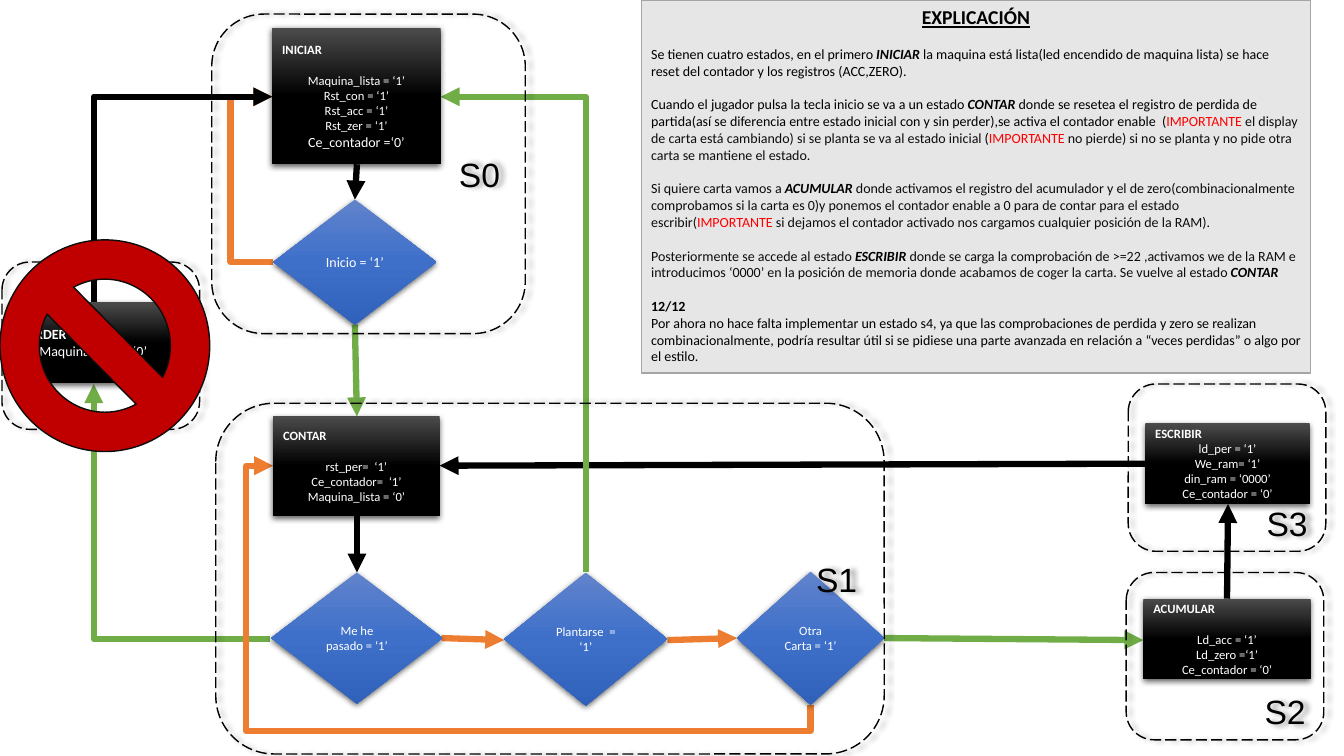
from copy import deepcopy
from lxml import etree
from pptx import Presentation
from pptx.dml.color import RGBColor
from pptx.enum import dml, shapes, text
from pptx.oxml.ns import qn
from pptx.util import Inches, Pt

BLACK = RGBColor(0, 0, 0)
WHITE = RGBColor(255, 255, 255)
DARK = RGBColor(0x0D, 0x0D, 0x0D)
RED = RGBColor(255, 0, 0)
CRIMSON = RGBColor(0xC0, 0, 0)
GREEN = RGBColor(0x70, 0xAD, 0x47)
ORANGE = RGBColor(0xED, 0x7D, 0x31)
PALE = RGBColor(0xE7, 0xE6, 0xE6)
GREY = RGBColor(0xA5, 0xA5, 0xA5)
COAL = [RGBColor(0x4B, 0x4B, 0x4B), BLACK, BLACK]
BLUE = [RGBColor(0x61, 0x83, 0xCB), RGBColor(0x3E, 0x70, 0xCA), RGBColor(0x30, 0x62, 0xBB)]

KIND = shapes.MSO_SHAPE
ALIGN = text.PP_ALIGN
ANCHOR = text.MSO_ANCHOR

# Run markers: * bold italic, # bold, ! red, . dark
NOTES = [
    "Se tienen cuatro estados, en el primero |*INICIAR| la maquina está lista(led encendido de "
    "maquina lista) se hace reset del contador y los registros (ACC,ZERO).",
    "Cuando el jugador pulsa la tecla inicio se va a un estado |*CONTAR| donde se resetea el "
    "registro de perdida de partida(así se diferencia entre estado inicial con y sin perder),se "
    "activa el contador enable  (|!IMPORTANTE |.el display de carta está cambiando) si se planta "
    "se va al estado inicial |(|!IMPORTANTE|. no pierde) si no se planta y no pide otra carta se "
    "mantiene el estado.",
    ".Si quiere carta vamos a |*ACUMULAR |.donde activamos el registro del acumulador y el de "
    "zero(combinacionalmente comprobamos si la carta es 0)y ponemos el contador enable a 0 para "
    "de contar para el estado escribir(|!IMPORTANTE |.si dejamos el contador activado nos "
    "cargamos cualquier posición de la RAM).",
    ".Posteriormente se accede al estado |*ESCRIBIR |.donde se carga la comprobación de >=22 "
    ",activamos we de la RAM e introducimos ‘0000’ en la posición de memoria donde acabamos de "
    "coger la carta. Se vuelve al estado |*CONTAR",
    "#12/12",
    "Por ahora no hace falta implementar un estado s4, ya que las comprobaciones de perdida y "
    "zero se realizan combinacionalmente, podría resultar útil si se pidiese una parte avanzada "
    "en relación a “veces perdidas” o algo por el estilo.",
]


def shape(slide, kind, box, part):
    """Add a preset shape at an offset part inside a box."""
    left, top = box[0] + part[0], box[1] + part[1]
    item = slide.shapes.add_shape(kind, *map(Inches, (left, top, part[2], part[3])))
    item.shadow.inherit = False
    return item


def shade(item, alpha, blur, dist, turn):
    """Give a shape a soft black outer shadow."""
    list_ = item._element.spPr.find(qn("a:effectLst"))
    outer = etree.SubElement(list_, qn("a:outerShdw"), blurRad=str(Pt(blur)),
                             dist=str(Pt(dist)), dir=str(turn * 60000), rotWithShape="0")
    tint = etree.SubElement(outer, qn("a:srgbClr"), val=str(BLACK))
    etree.SubElement(tint, qn("a:alpha"), val=str(alpha * 1000))


def style(run, size, color, bold=False, face="Calibri"):
    """Set the font of a run."""
    font = run.font
    font.name, font.size, font.bold = face, Pt(size), bold
    font.color.rgb = color


def blend(item, tints):
    """Fill a shape from top to bottom with three tints."""
    item.fill.gradient()
    item.fill.gradient_angle = 270
    last = item.fill.gradient_stops[1]._gs
    last.addnext(deepcopy(last))
    for n, (stop, tint) in enumerate(zip(item.fill.gradient_stops, tints)):
        stop.position, stop.color.rgb = n / 2, tint


def node(slide, box, part, lines, size=9, head="", gap=11, big=()):
    """Add a state with a bold head, or a choice when it has no head."""
    item = shape(slide, KIND.RECTANGLE if head else KIND.DIAMOND, box, part)
    blend(item, COAL if head else BLUE)
    item.line.fill.background()
    shade(item, 63, 4.5, 1.5, 90)
    frame = item.text_frame
    frame.vertical_anchor = ANCHOR.MIDDLE
    frame.text = "\n".join(([head] if head else []) + lines)
    for n, para in enumerate(frame.paragraphs):
        top = bool(head) and n == 0
        para.alignment = ALIGN.LEFT if top else ALIGN.CENTER
        if head and n == 1:
            para.space_before = Pt(gap)
        style(para.runs[0], 10 if para.text in big else size, WHITE, top)


def zone(slide, box, name, anchor=ANCHOR.MIDDLE):
    """Outline a whole box with dashes and name it at the right."""
    item = shape(slide, KIND.ROUNDED_RECTANGLE, box, (0, 0, *box[2:]))
    item.fill.background()
    item.line.color.rgb, item.line.width = BLACK, Pt(1)
    item.line.dash_style = dml.MSO_LINE.LONG_DASH
    shade(item, 40, 4, 3, 0)
    frame = item.text_frame
    frame.vertical_anchor, frame.margin_bottom = anchor, Inches(0 if anchor == ANCHOR.BOTTOM else 0.05)
    frame.text = name
    frame.paragraphs[0].alignment = ALIGN.RIGHT
    style(frame.paragraphs[0].runs[0], 24, BLACK, face="Arial")


def arrow(slide, start, end, color, bend=0, turn=0, flip="", adj=()):
    """Add an arrow; bend picks the elbow type, turn and flip its pose."""
    kind = shapes.MSO_CONNECTOR.ELBOW if bend else shapes.MSO_CONNECTOR.STRAIGHT
    link = slide.shapes.add_connector(kind, *map(Inches, (*start, *end)))
    link.line.color.rgb, link.line.width = color, Pt(4.5)
    props = link._element.spPr
    etree.SubElement(props.find(qn("a:ln")), qn("a:tailEnd"), type="triangle")
    etree.SubElement(props, qn("a:effectLst"))
    if bend:
        pose = props.find(qn("a:xfrm"))
        pose.set("rot", str(turn * 60000))
        for axis in flip:
            pose.set("flip" + axis, "1")
        form = props.find(qn("a:prstGeom"))
        form.set("prst", f"bentConnector{bend}")
        guides = form.find(qn("a:avLst"))
        if guides is None:
            guides = etree.SubElement(form, qn("a:avLst"))
        for n, ratio in enumerate(adj, 1):
            etree.SubElement(guides, qn("a:gd"), name=f"adj{n}", fmla=f"val {round(ratio * 100000)}")


def links(slide, box):
    """Draw the arrows between states, within the box of the slide."""
    x, y = box[:2]
    for color, *ends in [
        (BLACK, 3.54, 1.63, 3.52, 1.98), (GREEN, 3.52, 3.22, 3.54, 4.13),
        (BLACK, 3.54, 5.12, 3.54, 5.68), (ORANGE, 4.38, 6.33, 5, 6.35),
        (ORANGE, 6.62, 6.35, 7.31, 6.33), (GREEN, 8.77, 6.33, 11.34, 6.35),
        (BLACK, 12.17, 5.94, 12.18, 5), (BLACK, 11.36, 4.6, 4.36, 4.62),
    ]:
        arrow(slide, (x + ends[0], y + ends[1]), (x + ends[2], y + ends[3]), color)
    for color, left, top, wide, high, *pose in [
        (ORANGE, 2.7, 0.96, 0.01, 1.64, 3, 180, "", [43]),
        (GREEN, 0.93, 3.81, 1.75, 2.53, 2, 180),
        (ORANGE, 4.19, 3.14, 2.37, 5.33, 4, 90, "H", [-0.11, 1.05]),
        (BLACK, 0.79, 1.1, 2.05, 1.77, 2, 90, "HV"),
        (GREEN, 2.73, 2.6, 4.72, 1.44, 2, 270, "V"),
    ]:
        arrow(slide, (x + left, y + top), (x + left + wide, y + top + high), color, *pose)


def begin(slide, box):
    """Draw the first state and its choice."""
    last = "Ce_contador =‘0’"
    lines = ["Maquina_lista = ‘1’", "Rst_con = ‘1’", "Rst_acc = ‘1’", "Rst_zer = ‘1’", last]
    node(slide, box, (0.6, 0.14, 1.67, 1.35), lines, head="INICIAR", big=[last])
    node(slide, box, (0.61, 1.84, 1.62, 1.24), ["Inicio = ‘1’"], 10)
    zone(slide, box, "S0")


def count(slide, box):
    """Draw the counting state and its three choices."""
    lines = ["rst_per=  ‘1’", "Ce_contador=  ‘1’", "Maquina_lista = ‘0’"]
    node(slide, box, (0.57, 0.13, 1.65, 0.99), lines, head="CONTAR")
    node(slide, box, (0.55, 1.68, 1.7, 1.3), ["Me he pasado = ‘1’"])
    node(slide, box, (2.86, 1.68, 1.62, 1.32), ["Plantarse  = ‘1’"])
    node(slide, box, (5.17, 1.67, 1.46, 1.32), ["Otra", "Carta = ‘1’"])
    zone(slide, box, "S1")


def step(slide, box, name, part, head, lines, **look):
    """Draw a small zone with one state."""
    node(slide, box, part, lines, head=head, **look)
    zone(slide, box, name, ANCHOR.BOTTOM)


def ban(slide, box):
    """Cover a box with a red no sign."""
    sign = shape(slide, KIND.NO_SYMBOL, box, (0, 0, *box[2:]))
    sign.fill.solid()
    sign.fill.fore_color.rgb = CRIMSON
    sign.line.color.rgb, sign.line.width = DARK, Pt(1)


def panel(slide, box):
    """Write the notes in a grey panel."""
    item = shape(slide, KIND.RECTANGLE, box, (0, 0, *box[2:]))
    item.fill.solid()
    item.fill.fore_color.rgb = PALE
    item.line.color.rgb, item.line.width = GREY, Pt(1)
    frame = item.text_frame
    frame.vertical_anchor = ANCHOR.TOP
    frame.text = "EXPLICACIÓN"
    title = frame.paragraphs[0]
    title.alignment = ALIGN.CENTER
    style(title.runs[0], 14, BLACK, True)
    title.runs[0].font.underline = True
    for note in NOTES:
        para = frame.add_paragraph()
        para.alignment = ALIGN.LEFT
        para.space_before = Pt(0 if note == NOTES[-1] else 12)
        for piece in note.split("|"):
            mark = piece[0] if piece[0] in "*#!." else ""
            run = para.add_run()
            run.text = piece[len(mark):]
            style(run, 10, {"!": RED, ".": DARK}.get(mark, BLACK), mark in ("*", "#"))
            run.font.italic = mark == "*"


deck = Presentation()
deck.slide_width, deck.slide_height = Inches(13.33), Inches(7.5)
page = deck.slides.add_slide(deck.slide_layouts[6])
links(page, (0, 0, 13.33, 7.5))
begin(page, (2.1, 0.14, 3.11, 3.17))
count(page, (2.14, 4, 6.63, 3.48))
step(page, (11.17, 5.68, 1.96, 1.66), "S2", (0.17, 0.26, 1.66, 0.8), "ACUMULAR",
     ["Ld_acc = ‘1’", "Ld_zero =‘1’", "Ce_contador = ‘0’"])
step(page, (11.19, 3.81, 1.96, 1.66), "S3", (0.17, 0.39, 1.63, 0.8), "ESCRIBIR",
     ["ld_per = ‘1’", "We_ram= ‘1’", "din_ram = ‘0000’", "Ce_contador = ‘0’"], gap=0)
step(page, (0.02, 2.6, 1.96, 1.66), "S4", (0.09, 0.4, 1.63, 0.8), "PERDER",
     ["Maquina_lista = ‘0’"], size=10, gap=0)
ban(page, (0, 2.38, 2.08, 2.1))
panel(page, (6.36, 0, 6.64, 3.7))
deck.save("out.pptx")
